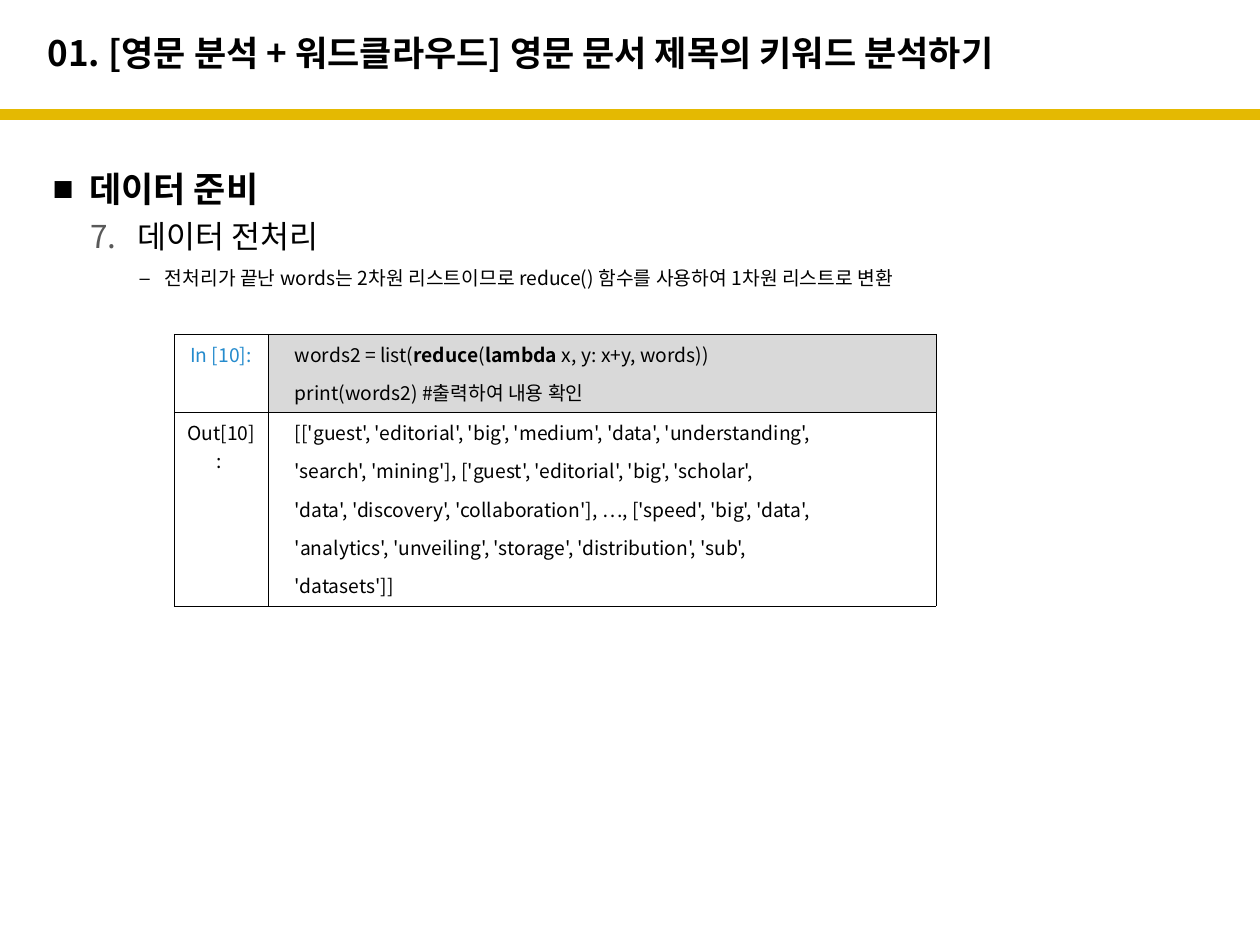
from dataclasses import dataclass
from typing import Optional

from lxml.etree import SubElement
from pptx import Presentation
from pptx.dml.color import RGBColor
from pptx.enum.text import MSO_ANCHOR, PP_ALIGN
from pptx.oxml.ns import qn
from pptx.util import Inches, Pt

FONT = "Noto Sans CJK KR"
MARKER_FONT = "Arial"
COLORS = {
    "black": "000000",
    "white": "FFFFFF",
    "gold": "E4B902",
    "number": "595959",
    "prompt": "258BCD",
    "code": "D9D9D9",
}


@dataclass(frozen=True)
class Bullet:
    """Marker in front of an outline entry."""

    tag: str
    attributes: dict
    color: str = "black"
    percent: int = 100
    font: str = MARKER_FONT


@dataclass(frozen=True)
class Line:
    """One paragraph whose runs alternate between regular and bold."""

    runs: tuple
    size: float = 11
    color: str = "black"
    bold: bool = False
    left: float = 0
    hanging: float = 0
    before: float = 0
    after: float = 0
    spacing: float = 1.0
    align: PP_ALIGN = PP_ALIGN.LEFT
    bullet: Optional[Bullet] = None


@dataclass(frozen=True)
class NotebookCell:
    """A prompt with its lines of code or output."""

    prompt: str
    prompt_color: str
    lines: tuple
    fill: str
    height: float


TITLE = Line(("01. [영문 분석 + 워드클라우드] 영문 문서 제목의 키워드 분석하기",), 20, bold=True)

OUTLINE = (
    Line(("데이터 준비",), 20, bold=True, left=0.29, hanging=0.29, spacing=1.5,
         bullet=Bullet("a:buChar", {"char": "■"})),
    Line(("데이터 전처리",), 18, left=0.67, hanging=0.37, before=4.5, after=4,
         bullet=Bullet("a:buAutoNum", {"type": "arabicPeriod", "startAt": "7"},
                       "number", font=FONT)),
    Line(("전처리가 끝난 words는 2차원 리스트이므로 reduce() 함수를 사용하여 1차원 리스트로 변환",),
         left=0.89, hanging=0.2, before=2.8, after=3,
         bullet=Bullet("a:buChar", {"char": "–"}, percent=96)),
)

NOTEBOOK = (
    NotebookCell("In [10]:", "prompt", (
        ("words2 = list(", "reduce", "(", "lambda", " x, y: x+y, words))"),
        ("print(words2) #출력하여 내용 확인",),
    ), "code", 0.62),
    NotebookCell("Out[10]: ", "black", (
        ("[['guest', 'editorial', 'big', 'medium', 'data', 'understanding',",),
        ("'search', 'mining'], ['guest', 'editorial', 'big', 'scholar',",),
        ("'data', 'discovery', 'collaboration'], …, ['speed', 'big', 'data',",),
        ("'analytics', 'unveiling', 'storage', 'distribution', 'sub',",),
        ("'datasets']]",),
    ), "white", 1.54),
)


def rgb(name: str) -> RGBColor:
    """Look up a palette colour."""
    return RGBColor.from_string(COLORS[name])


def add_bullet(properties, bullet: Bullet) -> None:
    """Append marker colour, size, font and character to paragraph properties."""
    color = SubElement(properties, qn("a:buClr"))
    SubElement(color, qn("a:srgbClr"), val=COLORS[bullet.color])
    SubElement(properties, qn("a:buSzPct"), val=str(bullet.percent * 1000))
    SubElement(properties, qn("a:buFont"), typeface=bullet.font)
    SubElement(properties, qn(bullet.tag), **bullet.attributes)


def write_lines(frame, lines: tuple) -> None:
    """Fill a text frame with formatted paragraphs."""
    frame.word_wrap = True
    for index, line in enumerate(lines):
        paragraph = frame.add_paragraph() if index else frame.paragraphs[0]
        paragraph.alignment = line.align
        paragraph.line_spacing = line.spacing
        paragraph.space_before = Pt(line.before)
        paragraph.space_after = Pt(line.after)
        properties = paragraph._p.get_or_add_pPr()
        properties.set("marL", str(Inches(line.left)))
        properties.set("indent", str(-Inches(line.hanging)))
        if line.bullet:
            add_bullet(properties, line.bullet)
        font = paragraph.font
        font.name, font.size, font.bold = FONT, Pt(line.size), line.bold
        font.color.rgb = rgb(line.color)
        SubElement(font._element, qn("a:ea"), typeface=FONT)
        for position, text in enumerate(line.runs):
            run = paragraph.add_run()
            run.text = text
            if position % 2:
                run.font.bold = True


def add_text(slide, left: float, top: float, width: float, height: float,
             lines: tuple, anchor: MSO_ANCHOR = MSO_ANCHOR.TOP) -> None:
    """Place a text box on the slide."""
    box = slide.shapes.add_textbox(Inches(left), Inches(top), Inches(width), Inches(height))
    box.text_frame.vertical_anchor = anchor
    write_lines(box.text_frame, lines)


def style_cell(cell, fill: str) -> None:
    """Give a table cell thin black borders and a solid fill."""
    properties = cell._tc.get_or_add_tcPr()
    for side in ("a:lnL", "a:lnR", "a:lnT", "a:lnB"):
        border = SubElement(properties, qn(side), w=str(Pt(0.11)))
        solid = SubElement(border, qn("a:solidFill"))
        SubElement(solid, qn("a:srgbClr"), val=COLORS["black"])
    cell.fill.solid()
    cell.fill.fore_color.rgb = rgb(fill)


def add_notebook(slide, notebook: tuple) -> None:
    """Draw the prompts and their contents as a table."""
    height = sum(entry.height for entry in notebook)
    table = slide.shapes.add_table(
        len(notebook), 2, Inches(1.38), Inches(2.65), Inches(6.05), Inches(height)).table
    for column, width in zip(table.columns, (0.75, 5.3)):
        column.width = Inches(width)
    for index, entry in enumerate(notebook):
        table.rows[index].height = Inches(entry.height)
        prompt, content = table.cell(index, 0), table.cell(index, 1)
        write_lines(prompt.text_frame, (
            Line((entry.prompt,), color=entry.prompt_color, before=5, after=3,
                 align=PP_ALIGN.CENTER),))
        write_lines(content.text_frame, tuple(
            Line(runs, left=0.11, before=2.9, after=3) for runs in entry.lines))
        style_cell(prompt, "white")
        style_cell(content, entry.fill)


def add_rule(slide) -> None:
    """Draw the gold rule under the title."""
    rule = slide.shapes.add_connector(1, 0, Inches(0.91), Inches(10), Inches(0.91))
    rule.line.color.rgb = rgb("gold")
    rule.line.width = Pt(6)
    SubElement(rule._element.spPr, qn("a:effectLst"))


def main() -> None:
    """Build and save the slide."""
    deck = Presentation()
    deck.slide_width, deck.slide_height = Inches(10), Inches(7.5)
    slide = deck.slides.add_slide(deck.slide_layouts[6])
    add_rule(slide)
    add_text(slide, 0.28, 0.12, 8.66, 0.6, (TITLE,), MSO_ANCHOR.MIDDLE)
    add_text(slide, 0.32, 1.11, 9.45, 5.98, OUTLINE)
    add_notebook(slide, NOTEBOOK)
    deck.save("out.pptx")


if __name__ == "__main__":
    main()
